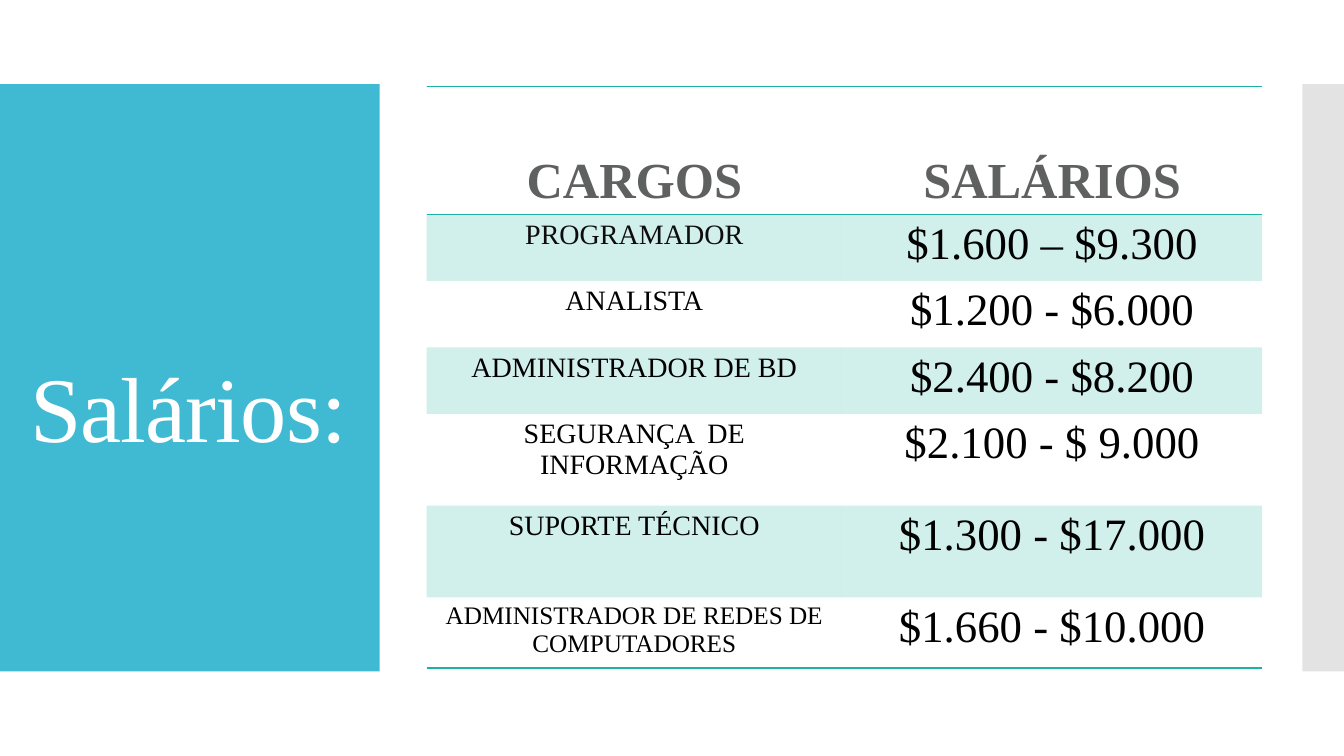
from dataclasses import dataclass

from lxml.etree import SubElement
from pptx import Presentation
from pptx.dml.color import RGBColor
from pptx.enum.shapes import MSO_SHAPE as Shape
from pptx.enum.text import MSO_ANCHOR as Anchor, PP_ALIGN as Align
from pptx.oxml import parse_xml
from pptx.oxml.ns import nsdecls, qn
from pptx.util import Pt


@dataclass(frozen=True)
class Theme:
    font: str = "Times New Roman"
    panel: str = "40BAD2"
    strip: str = "C8C8C8"
    accent: str = "1AB39F"
    heading: str = "5F6060"
    first_role: str = "0D0D0D"
    body: str = "000000"
    title: str = "FFFFFF"
    title_size: int = 66
    heading_size: int = 36
    role_size: int = 20
    small_role_size: int = 18
    salary_size: int = 32


THEME = Theme()
HEADINGS = ("CARGOS", "SALÁRIOS")
SALARIES = (
    ("PROGRAMADOR", "$1.600 – $9.300"),
    ("ANALISTA", "$1.200 - $6.000"),
    ("ADMINISTRADOR DE BD", "$2.400 - $8.200"),
    ("SEGURANÇA  DE INFORMAÇÃO", "$2.100 - $ 9.000"),
    ("SUPORTE TÉCNICO", "$1.300 - $17.000"),
    ("ADMINISTRADOR DE REDES DE COMPUTADORES", "$1.660 - $10.000"),
)
COLUMN_WIDTHS = (296.6, 300.2)
ROW_HEIGHTS = (91.4, 47.5, 47.5, 47.5, 65.6, 65.6, 49)


def paint(fill, color, opacity=100):
    fill.solid()
    fill.fore_color.rgb = RGBColor.from_string(color)
    if opacity < 100:
        tint = fill._xPr.find(".//" + qn("a:srgbClr"))
        SubElement(tint, qn("a:alpha"), val=str(opacity * 1000))


def write(frame, text, size, color, bold=False):
    para = frame.paragraphs[0]
    para.alignment = Align.CENTER
    span = para.add_run()
    span.text = text
    font = para.font
    font.name, font.size, font.bold = THEME.font, Pt(size), bold
    font.color.rgb = RGBColor.from_string(color)
    # Table cells and text boxes take their look from the run
    span.font.name, span.font.size, span.font.bold = THEME.font, Pt(size), bold
    span.font.color.rgb = RGBColor.from_string(color)
    return para


def add_block(page, left, top, width, height, color, opacity=100):
    block = page.shapes.add_shape(
        Shape.RECTANGLE, Pt(left), Pt(top), Pt(width), Pt(height))
    block.shadow.inherit = False
    block.line.fill.background()
    paint(block.fill, color, opacity)


def add_title_panel(page, left, top, width, height):
    add_block(page, left, top, width, height, THEME.panel)
    box = page.shapes.add_textbox(
        Pt(left), Pt(top + 1), Pt(width - 2), Pt(height - 2))
    frame = box.text_frame
    frame.word_wrap = True
    frame.vertical_anchor = Anchor.MIDDLE
    para = write(frame, "Salários:", THEME.title_size, THEME.title)
    para.line_spacing = 1.5
    para.runs[0]._r.get_or_add_rPr().set("spc", "-60")


def rule_cell(cell, ruled_sides):
    """Draw accent lines on the named sides (T, B) and clear the others."""
    properties = cell._tc.get_or_add_tcPr()
    for index, side in enumerate("LRTB"):
        ink = "<a:noFill/>"
        if side in ruled_sides:
            ink = f'<a:solidFill><a:srgbClr val="{THEME.accent}"/></a:solidFill>'
        properties.insert(index, parse_xml(
            f'<a:ln{side} {nsdecls("a")} w="{Pt(1)}">{ink}</a:ln{side}>'))


def add_salary_table(page, left, top):
    rows = (HEADINGS, *SALARIES)
    table = page.shapes.add_table(
        len(rows), len(HEADINGS), Pt(left), Pt(top),
        Pt(sum(COLUMN_WIDTHS)), Pt(sum(ROW_HEIGHTS))).table
    table.first_row = table.horz_banding = False
    for column, width in zip(table.columns, COLUMN_WIDTHS):
        column.width = Pt(width)

    last = len(rows) - 1
    for index, (texts, height) in enumerate(zip(rows, ROW_HEIGHTS)):
        table.rows[index].height = Pt(height)
        role_size = THEME.small_role_size if index == last else THEME.role_size
        role_color = THEME.first_role if index == 1 else THEME.body
        styles = ((role_size, role_color), (THEME.salary_size, THEME.body))
        for column, text in enumerate(texts):
            cell = table.cell(index, column)
            if index == 0:
                cell.vertical_anchor = Anchor.BOTTOM
                write(cell.text_frame, text, THEME.heading_size,
                      THEME.heading, bold=True)
            else:
                write(cell.text_frame, text, *styles[column])
            if index % 2:
                paint(cell.fill, THEME.accent, 20)
            else:
                cell.fill.background()
            rule_cell(cell, {0: "TB", 1: "T", last: "B"}.get(index, ""))


def main():
    deck = Presentation()
    deck.slide_width, deck.slide_height = Pt(960), Pt(540)
    page = deck.slides.add_slide(deck.slide_layouts[6])
    add_title_panel(page, 0, 60, 271.2, 419.5)
    add_block(page, 930.2, 60, 29.8, 419.5, THEME.strip, 50)
    add_salary_table(page, 304.8, 61.7)
    deck.save("out.pptx")


if __name__ == "__main__":
    main()
